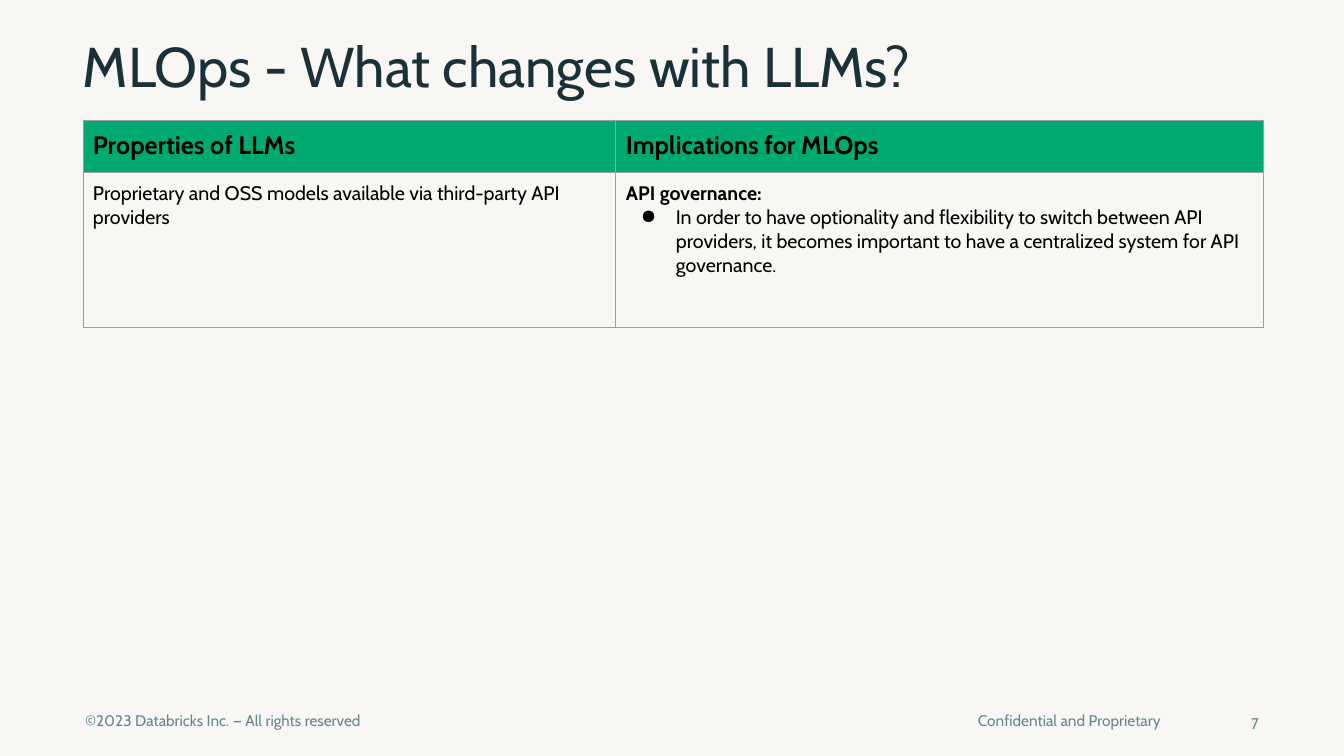
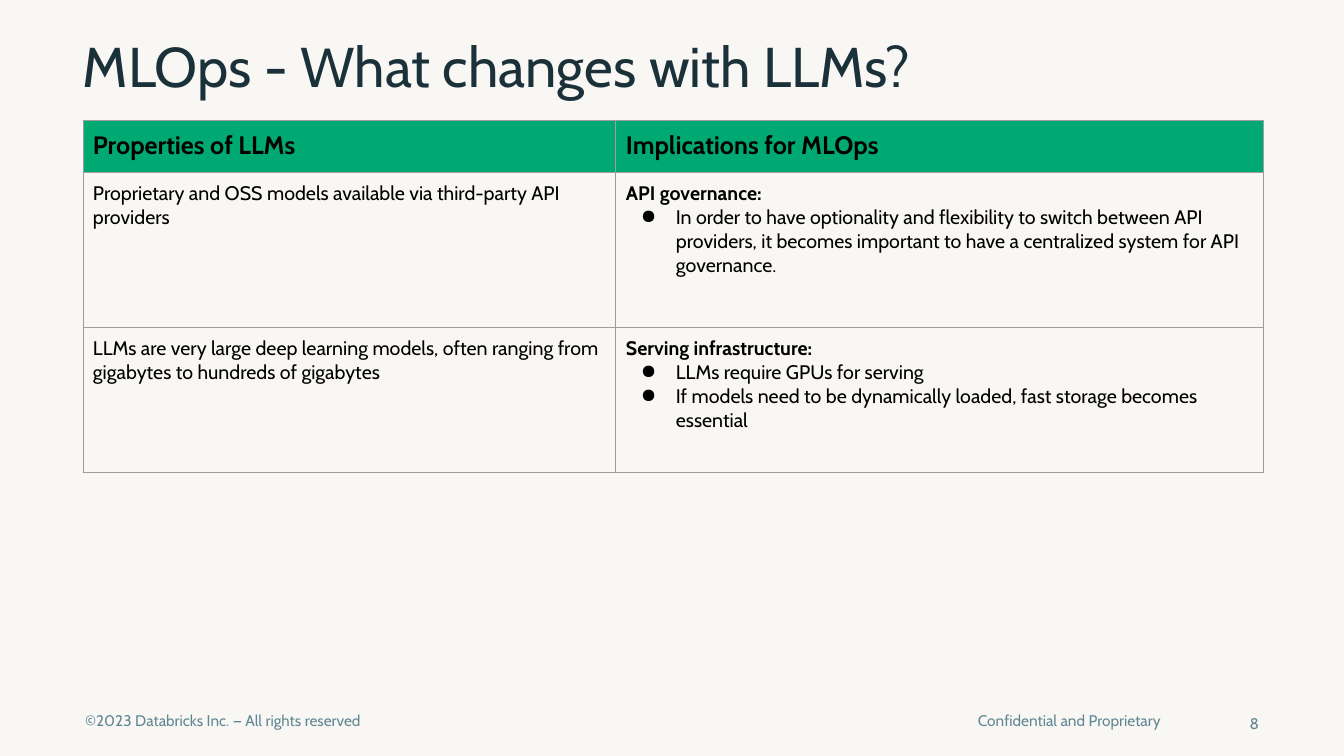
import pptx
import pptx.dml.color
import pptx.enum.text
import pptx.oxml
import pptx.oxml.ns
import pptx.util
from lxml import etree

RGBColor = pptx.dml.color.RGBColor
ALIGN = pptx.enum.text.PP_ALIGN
ANCHOR = pptx.enum.text.MSO_ANCHOR

# Shared look
PAGE_WIDTH, PAGE_HEIGHT = 1344, 756
EMU_PER_PX = 12192000 / PAGE_WIDTH
FONT = "Cabin"
PAPER = RGBColor(0xF9, 0xF7, 0xF4)
NAVY = RGBColor(0x1B, 0x31, 0x39)
SLATE = RGBColor(0x61, 0x87, 0x94)
GREEN = RGBColor(0x00, 0xA9, 0x72)
GRAY = RGBColor(0x9E, 0x9E, 0x9E)
BLACK = RGBColor(0x00, 0x00, 0x00)

# Regions: left, top, width, height
TITLE_BOX = (83, 25, 1175, 89)
TABLE_BOX = (83, 120, 1181, 353)
FOOTER_BOX = (72, 702, 1187, 45)

# Content
TITLE = "MLOps - What changes with LLMs?"
HEADINGS = ("Properties of LLMs", "Implications for MLOps")
COLUMN_WIDTHS = (533, 648)
HEADER_HEIGHT = 52
FIRST_PAGE_NUMBER = 7
# Each row: height, property, implication, bullets
ROWS = [
    (155, "Proprietary and OSS models available via third-party API providers",
     "API governance:",
     ["In order to have optionality and flexibility to switch between API "
      "providers, it becomes important to have a centralized system for API "
      "governance."]),
    (146, "LLMs are very large deep learning models, often ranging from "
     "gigabytes to hundreds of gigabytes",
     "Serving infrastructure:",
     ["LLMs require GPUs for serving",
      "If models need to be dynamically loaded, fast storage becomes "
      "essential"]),
]


def px(length):
    return pptx.util.Emu(round(length * EMU_PER_PX))


def add_child(parent, tag, **attributes):
    child = etree.SubElement(parent, pptx.oxml.ns.qn(tag))
    for name, value in attributes.items():
        child.set(name, str(value))
    return child


def write_text(para, text, size=14, color=BLACK, bold=False,
               align=None, spacing=None, bullet=False):
    """Write one formatted run into a paragraph."""
    if bullet:
        props = para._p.get_or_add_pPr()
        props.set("marL", str(px(50)))
        props.set("indent", str(-px(35)))
        bullet_color = add_child(props, "a:buClr")
        add_child(bullet_color, "a:srgbClr", val=BLACK)
        add_child(props, "a:buChar", char="●")
    if align is not None:
        para.alignment = align
    if spacing is not None:
        para.line_spacing = spacing
    span = para.add_run()
    span.text = text
    span.font.name = FONT
    span.font.size = pptx.util.Pt(size)
    span.font.bold = bold
    span.font.color.rgb = color


def set_margins(target, margin):
    target.margin_left = target.margin_right = px(margin)
    target.margin_top = target.margin_bottom = px(margin)


def add_label(page, region, text, margin=0, anchor=ANCHOR.TOP, **style):
    box = page.shapes.add_textbox(*map(px, region))
    frame = box.text_frame
    frame.word_wrap = True
    frame.vertical_anchor = anchor
    set_margins(frame, margin)
    write_text(frame.paragraphs[0], text, **style)


def add_title(page, region):
    add_label(page, region, TITLE, anchor=ANCHOR.MIDDLE,
              size=40, color=NAVY, spacing=0.9)


def add_footer(page, region, number):
    left, top, width, height = region
    style = dict(size=11, color=SLATE)
    add_label(page, (left, top, 593, height),
              "©2023 Databricks Inc. — All rights reserved", margin=13, **style)
    add_label(page, (left + 633, top, 469, height),
              "Confidential and Proprietary", margin=13,
              align=ALIGN.RIGHT, **style)
    add_label(page, (left + width - 35, top + 12, 35, 20), str(number),
              align=ALIGN.RIGHT, **style)


def style_cell(cell, fill=None):
    set_margins(cell, 10)
    props = cell._tc.get_or_add_tcPr()
    for side in ("L", "R", "T", "B"):
        line = add_child(props, f"a:ln{side}", w=pptx.util.Pt(0.75))
        solid = add_child(line, "a:solidFill")
        add_child(solid, "a:srgbClr", val=GRAY)
    if fill is None:
        cell.fill.background()
    else:
        cell.fill.solid()
        cell.fill.fore_color.rgb = fill


def add_comparison(page, region, rows):
    left, top, width, _ = region
    heights = [HEADER_HEIGHT] + [row[0] for row in rows]
    frame = page.shapes.add_table(
        len(heights), len(HEADINGS),
        *map(px, (left, top, width, sum(heights))))
    table = frame.table
    table.first_row = table.horz_banding = False
    for column, column_width in zip(table.columns, COLUMN_WIDTHS):
        column.width = px(column_width)
    for row, height in zip(table.rows, heights):
        row.height = px(height)

    # Header row
    for index, heading in enumerate(HEADINGS):
        cell = table.cell(0, index)
        style_cell(cell, GREEN)
        write_text(cell.text_frame.paragraphs[0], heading, size=18, bold=True)

    # Body rows
    for index, (_, trait, implication, bullets) in enumerate(rows, 1):
        trait_cell, implication_cell = table.cell(index, 0), table.cell(index, 1)
        style_cell(trait_cell)
        style_cell(implication_cell)
        write_text(trait_cell.text_frame.paragraphs[0], trait)
        frame = implication_cell.text_frame
        write_text(frame.paragraphs[0], implication, bold=True)
        for bullet in bullets:
            write_text(frame.add_paragraph(), bullet, bullet=True)


def add_page(deck, number, rows):
    page = deck.slides.add_slide(deck.slide_layouts[6])
    page.background.fill.solid()
    page.background.fill.fore_color.rgb = PAPER
    add_footer(page, FOOTER_BOX, number)
    add_title(page, TITLE_BOX)
    add_comparison(page, TABLE_BOX, rows)


def main():
    deck = pptx.Presentation()
    deck.slide_width, deck.slide_height = px(PAGE_WIDTH), px(PAGE_HEIGHT)
    # Each page reveals one more row
    for index in range(len(ROWS)):
        add_page(deck, FIRST_PAGE_NUMBER + index, ROWS[:index + 1])
    deck.save("out.pptx")


if __name__ == "__main__":
    main()
